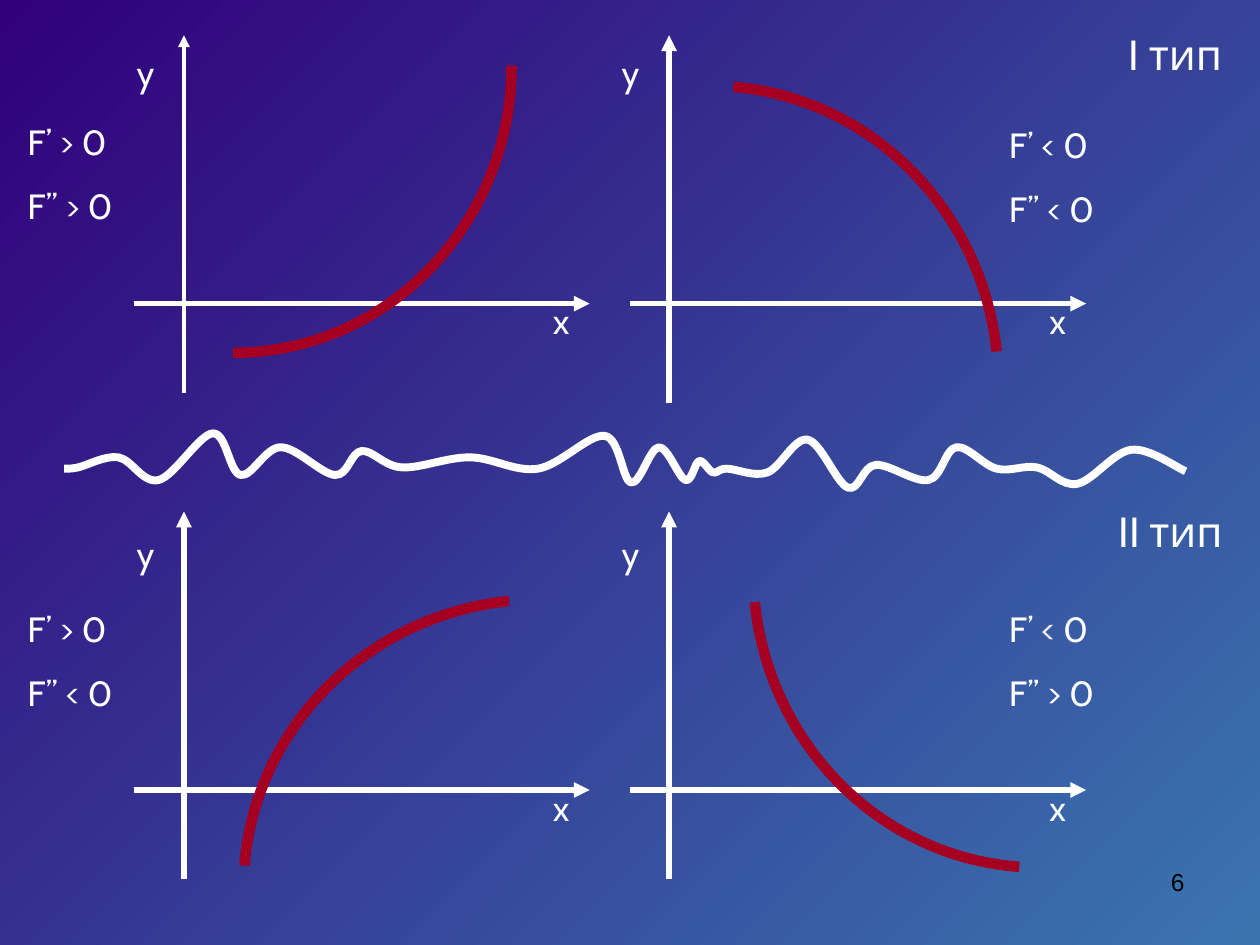
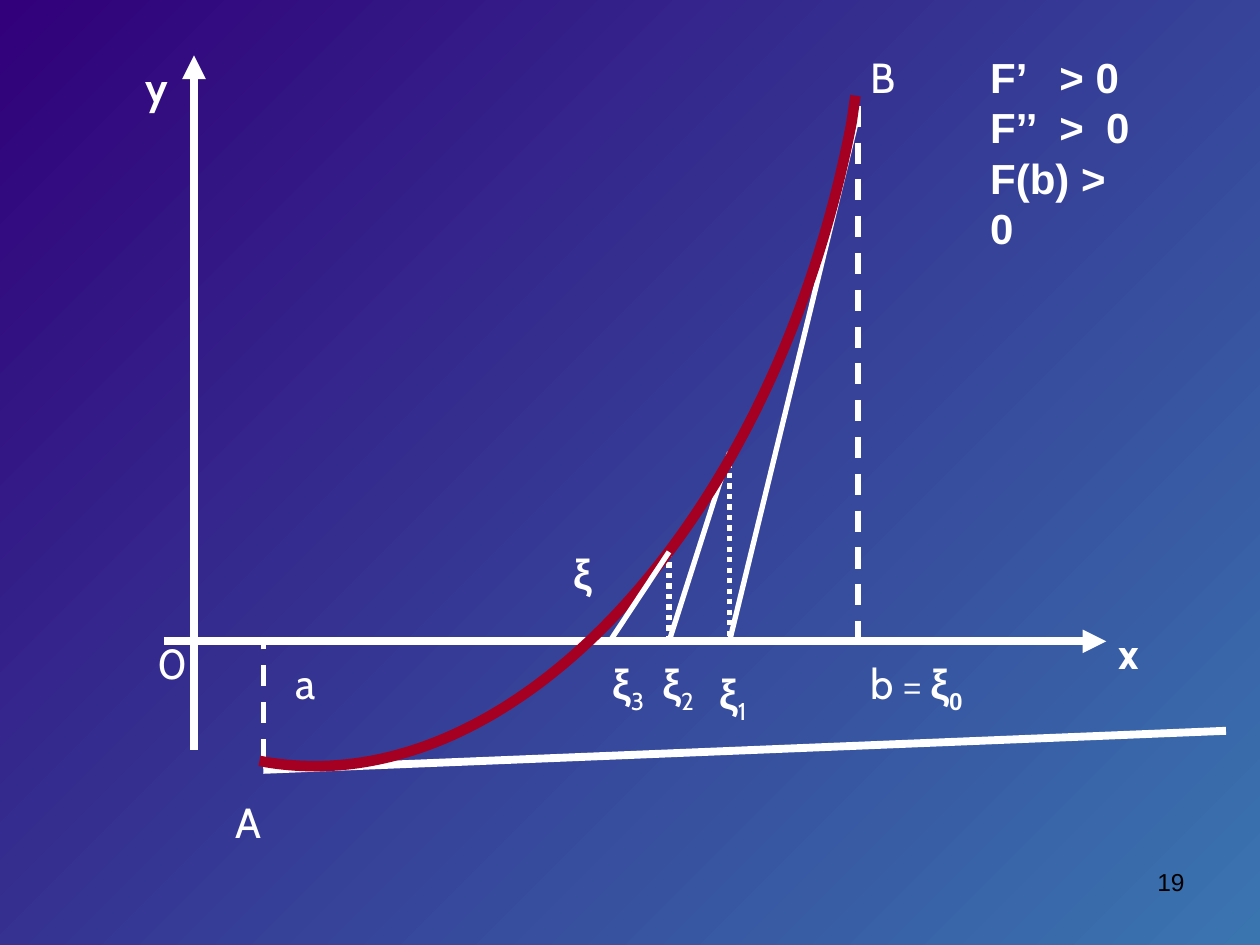
import pptx
import pptx.util
import pptx.dml.color
import pptx.enum.dml
import pptx.enum.shapes
import pptx.enum.text
import pptx.oxml.ns
from lxml import etree

COLS, ROWS = 100, 75
CELL = pptx.util.Inches(0.1)
WHITE, RED, BLACK = "FFFFFF", "A50021", "000000"
NIGHT, SKY = "31007A", "3A75B0"
HEAD, SANS = "Cabin", "Arial"
DASH = pptx.enum.dml.MSO_LINE.DASH
DOT = pptx.enum.dml.MSO_LINE.ROUND_DOT
PANELS = [
    dict(box=(10.6, 0), axis=4, tip=2.8, low=31.2, label=3.6, width=2.25,
         note=(-9.4, 9.1), signs=("F’ > 0", "F’’ > 0"),
         arc=[(7.9, 28), (20.1, 28), (30, 17.8), (30, 5.2)]),
    dict(box=(50, 0), axis=3.1, tip=2.8, low=32, label=3.6, width=3,
         note=(29.1, 9.3), signs=("F’ < 0", "F’’ < 0"),
         arc=[(8.2, 6.9), (19.1, 7.8), (27.9, 16.6), (29.1, 27.9)]),
    dict(box=(10.6, 38.6), axis=4, tip=2, low=31.2, label=3.2, width=3,
         note=(-9.4, 9.1), signs=("F’ > 0", "F’’ < 0"),
         arc=[(8.8, 30.1), (9.7, 19.1), (18.5, 10.3), (29.8, 9.1)]),
    dict(box=(50, 38.6), axis=3.1, tip=2, low=31.2, label=3.2, width=3,
         note=(29.1, 9.1), signs=("F’ < 0", "F’’ > 0"),
         arc=[(9.9, 9.2), (11.1, 20.6), (19.9, 29.4), (30.9, 30.2)]),
]
WAVE = [
    (0, 2.8), (1.1, 2.7), (4.3, 1.9), (7.5, 3.7), (11.8, 0), (14, 3.3),
    (17.2, 1.1), (21.5, 3.3), (23.6, 1.4), (26.8, 2.7), (32.2, 1.9),
    (37.6, 2.8), (42.9, 0.2), (45, 3.9), (47.2, 1.1), (49.3, 3.7),
    (50.4, 2.2), (51.5, 3.1), (52.6, 2.8), (55.8, 3.1), (59, 0.5),
    (62.2, 4.3), (64.4, 2.5), (68.6, 3.7), (70.8, 1.1), (74, 2.8),
    (77.2, 2.7), (80.4, 4), (84.7, 1.3), (89, 3),
]


def hue(code):
    return pptx.dml.color.RGBColor.from_string(code)


def tag(name):
    return pptx.oxml.ns.qn("a:" + name)


def place(box, point):
    return [round((a + b) * CELL) for a, b in zip(box, point)]


def line(slide, box, start, end, width=3, dash=None, arrow=False):
    kind = pptx.enum.shapes.MSO_CONNECTOR.STRAIGHT
    link = slide.shapes.add_connector(
        kind, *place(box, start), *place(box, end))
    link.line.color.rgb = hue(WHITE)
    link.line.width = pptx.util.Pt(width)
    if dash:
        link.line.dash_style = dash
    if arrow:
        etree.SubElement(link.line._get_or_add_ln(), tag("tailEnd"),
                         type="triangle")
    etree.SubElement(link._element.spPr, tag("effectLst"))


def curve(slide, box, points, color, width):
    spots = [place(box, point) for point in points]
    pen = slide.shapes.build_freeform(*spots[0], scale=1.0)
    pen.add_line_segments(spots[1:], close=False)
    shape = pen.convert_to_shape()
    shape.shadow.inherit = False
    shape.fill.background()
    shape.line.color.rgb = hue(color)
    shape.line.width = pptx.util.Pt(width)
    route = shape._element.find(".//" + tag("path"))
    steps = iter(route.findall(tag("lnTo")))
    for trio in zip(steps, steps, steps):
        bend = etree.SubElement(route, tag("cubicBezTo"))
        for step in trio:
            bend.append(step[0])
            route.remove(step)


def spline(knots):
    ends = [knots[0], *knots, knots[-1]]
    points = [knots[0]]
    for a, b, c, d in zip(ends, ends[1:], ends[2:], ends[3:]):
        points.append([q + (r - p) / 6 for p, q, r in zip(a, b, c)])
        points.append([r - (s - q) / 6 for q, r, s in zip(b, c, d)])
        points.append(c)
    return points


def run(text, font=HEAD, bold=False, size=None, sub=False):
    return dict(text=text, font=font, bold=bold, size=size, sub=sub)


def write(slide, box, spot, span, paras, size=24, color=WHITE, gap=0,
          wrap=True, right=False, grow=True, tabs=()):
    extent = [round(side * CELL) for side in span]
    frame = slide.shapes.add_textbox(*place(box, spot), *extent).text_frame
    frame.word_wrap = wrap
    if grow:
        frame.auto_size = pptx.enum.text.MSO_AUTO_SIZE.SHAPE_TO_FIT_TEXT
    for index, runs in enumerate(paras):
        para = frame.add_paragraph() if index else frame.paragraphs[0]
        if index and gap:
            para.space_before = pptx.util.Pt(gap)
        if right:
            para.alignment = pptx.enum.text.PP_ALIGN.RIGHT
        if tabs:
            stops = etree.SubElement(
                para._p.get_or_add_pPr(), tag("tabLst"))
            for stop in tabs:
                etree.SubElement(stops, tag("tab"), algn="l",
                                 pos=str(round(stop * CELL)))
        for part in runs:
            piece = para.add_run()
            piece.text = part["text"]
            piece.font.name = part["font"]
            piece.font.bold = part["bold"]
            piece.font.size = pptx.util.Pt(part["size"] or size)
            piece.font.color.rgb = hue(color)
            if part["sub"]:
                piece.font._element.set("baseline", "-25000")


def start(deck, number):
    slide = deck.slides.add_slide(deck.slide_layouts[6])
    fill = slide.background.fill
    fill.gradient()
    fill.gradient_angle = 315
    for stop, code, share in zip(fill.gradient_stops, (NIGHT, SKY), (0, 1)):
        stop.color.rgb = hue(code)
        stop.position = share
    write(slide, (71.7, 68.3), (0, 0), (23.3, 5.2), [[run(number, SANS)]],
          size=14, color=BLACK, right=True, grow=False)
    return slide


def panel(slide, box, axis, tip, low, label, width, note, signs, arc):
    line(slide, box, (0, 24.1), (36.2, 24.1), arrow=True)
    line(slide, box, (axis, low), (axis, tip), width, arrow=True)
    for name, spot in (("y", (axis - 4.75, label)), ("x", (32.3, 23.3))):
        write(slide, box, spot, (3.2, 4.4), [[run(name)]], size=20)
    curve(slide, box, arc, RED, 6)
    write(slide, box, note, (11, 9.4), [[run(sign)] for sign in signs],
          size=20, gap=12.5)


def types(deck):
    slide = start(deck, "6")
    for parts in PANELS:
        panel(slide, **parts)
    curve(slide, (5.1, 34.4), spline(WAVE), WHITE, 4.5)
    write(slide, (88.6, 1.8), (0, 0), (9.5, 9), [[run("I тип")]])
    write(slide, (87.8, 39.6), (0, 0), (11, 5), [[run("II тип")]])


def graph(slide, box):
    line(slide, box, (81.9, 7.1), (5.5, 10.2), 4.5)
    for top, foot in (((42.5, -15), 37.7), ((52.7, -41.8), 42.5)):
        line(slide, box, top, (foot, 0))
    for left, end, dash in ((5.5, 9.4, DASH), (37.7, -7.1, DOT),
                            (42.5, -14.2, DOT), (52.7, -42.5, DASH)):
        line(slide, box, (left, end), (left, 0), dash=dash)
    line(slide, box, (0, 8.6), (0, -46.5), 4.5, arrow=True)
    line(slide, box, (-2.4, 0), (72.4, 0), 4.5, arrow=True)
    curve(slide, box, [(5.2, 9.5), (25, 13.3), (46.1, -9.4), (52.2, -41.2),
                       (52.3, -41.9), (52.4, -42.6), (52.5, -43.3)], RED, 6)
    line(slide, box, (37.7, -7.1), (33, 0))


def labels(slide, box):
    for name, spot, width, bold in (
            ("y", (-4.8, -46.5), 6.3, True), ("x", (72.4, -1.6), 6.3, True),
            ("A", (2.3, 11.8), 4.7, False), ("B", (52.7, -47.3), 4.7, False),
            ("0", (-3.9, -0.8), 3.9, False), ("a", (7.1, 0.8), 3.8, False)):
        write(slide, box, spot, (width, 5), [[run(name, bold=bold)]])
    root = run("ξ", SANS, True)
    write(slide, box, (29.1, -7.9), (4.3, 5), [[root]], wrap=False)
    for digit, spot in (("1", (40.7, 1.6)), ("2", (36.2, 0.8)),
                        ("3", (32.2, 0.8))):
        write(slide, box, spot, (5.4, 5.6), [[root, run(digit, sub=True)]],
              wrap=False)
    write(slide, box, (52.7, 0.8), (10.2, 5.6),
          [[run("b "), run("= ", SANS, size=18), root,
            run("0", SANS, True, sub=True)]])


def tangents(deck):
    slide = start(deck, "19")
    origin = (15.4, 50.9)
    graph(slide, origin)
    labels(slide, origin)
    rules = ("F’\t> 0", "F’’\t>\t0", "F(b) > 0")
    write(slide, (77.6, 3.6), (0, 0), (13.9, 13),
          [[run(rule, SANS, True)] for rule in rules],
          wrap=False, tabs=(5.5, 9.2))


def main():
    deck = pptx.Presentation()
    deck.slide_width = COLS * CELL
    deck.slide_height = ROWS * CELL
    types(deck)
    tangents(deck)
    deck.save("out.pptx")


if __name__ == "__main__":
    main()
